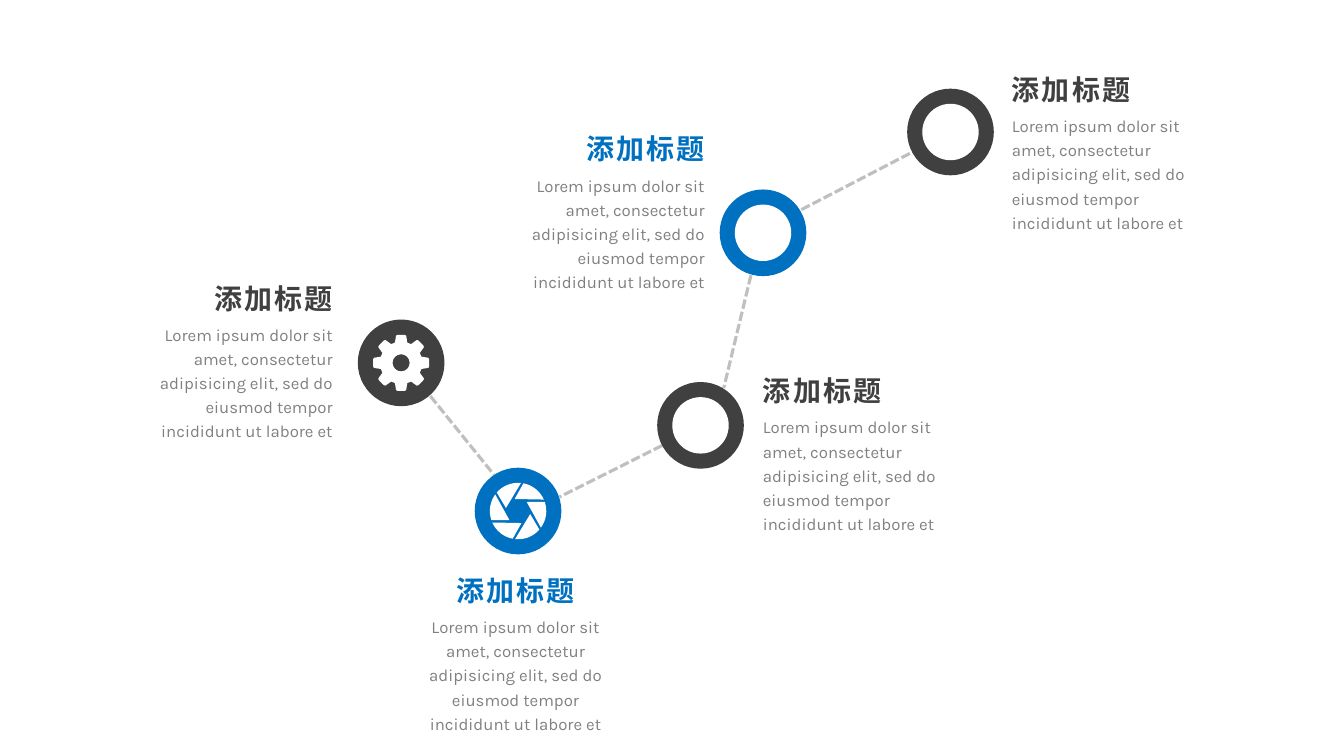
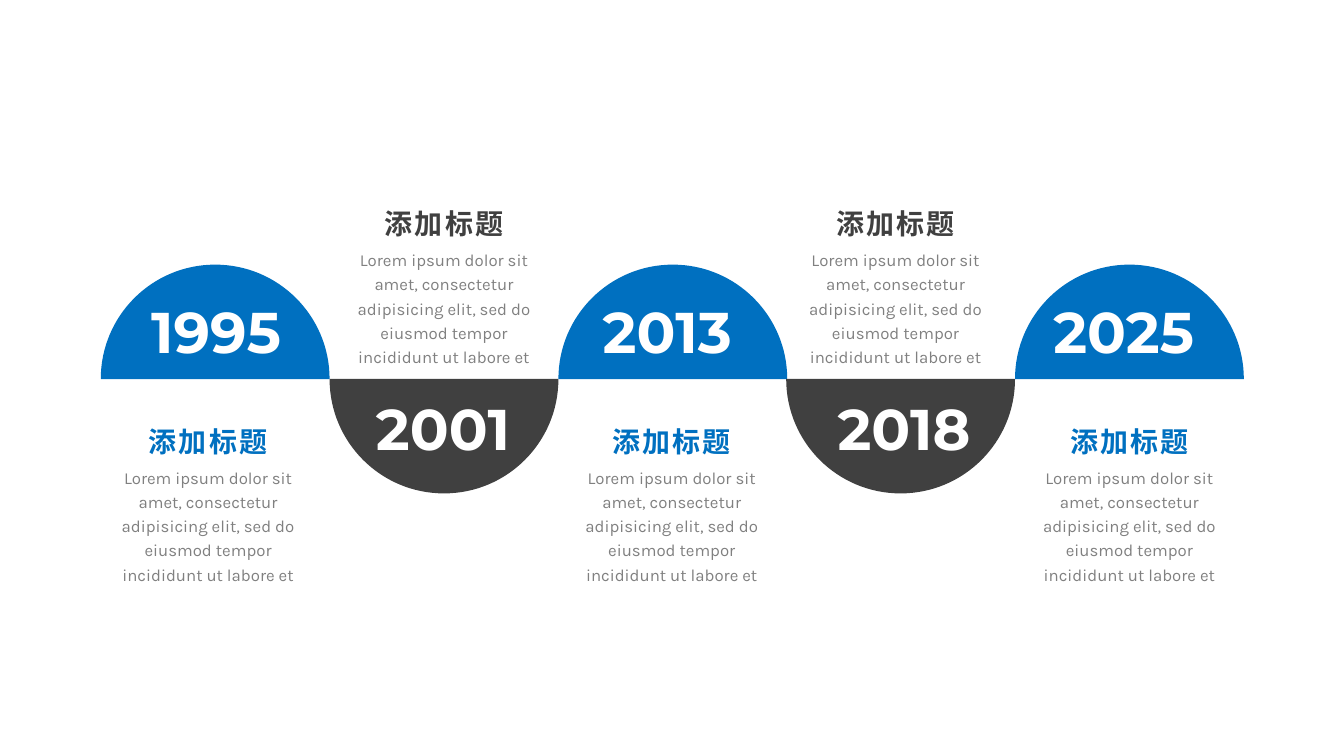
from dataclasses import dataclass, field
from math import cos, radians, sin, tan

from lxml import etree
from pptx import Presentation
from pptx.dml.color import RGBColor
from pptx.enum.dml import MSO_LINE
from pptx.enum.shapes import MSO_CONNECTOR, MSO_SHAPE
from pptx.enum.text import MSO_AUTO_SIZE, PP_ALIGN
from pptx.oxml.ns import qn
from pptx.util import Pt

PX = 9144
SLIDE_HEIGHT = 750
LEFT, CENTER, RIGHT = PP_ALIGN.LEFT, PP_ALIGN.CENTER, PP_ALIGN.RIGHT
FIT_SHAPE = MSO_AUTO_SIZE.SHAPE_TO_FIT_TEXT
ELLIPSE = MSO_SHAPE.OVAL
STRAIGHT = MSO_CONNECTOR.STRAIGHT
SHORT_DASH = MSO_LINE.SQUARE_DOT


@dataclass(frozen=True)
class Theme:
    blue: RGBColor = RGBColor(0x00, 0x70, 0xC0)
    dark: RGBColor = RGBColor(0x40, 0x40, 0x40)
    gray: RGBColor = RGBColor(0x80, 0x80, 0x80)
    rule: RGBColor = RGBColor(0xBF, 0xBF, 0xBF)
    white: RGBColor = RGBColor(0xFF, 0xFF, 0xFF)
    rule_width: int = Pt(2.25)
    heading: dict = field(default_factory=lambda: {
        "name": "Noto Sans CJK SC", "size": Pt(20), "bold": True})
    body: dict = field(default_factory=lambda: {
        "name": "Karla", "size": Pt(12)})
    year: dict = field(default_factory=lambda: {
        "name": "Montserrat", "size": Pt(41), "bold": True})


THEME = Theme()
HEADING = "添加标题"
BODY = ("Lorem ipsum dolor sit amet, consectetur adipisicing elit, "
        "sed do eiusmod tempor incididunt ut labore et")

CAPTION_WIDTH = 227
HEADING_SIZE = (141, 44)
BODY_DROP, BODY_HEIGHT = 39, 105
HEADING_SHARE = {LEFT: 0, CENTER: 0.5, RIGHT: 1}

NODE_SIZE, ICON_INSET = 86, 15
TOOTH = ((21, -17), (27.5, -10.5), (28, -7), (28, 7), (27.5, 10.5), (21, 17))


def emu(*lengths):
    return [round(length * PX) for length in lengths]


def polar(center, radius, angle):
    x, y = center
    return x + radius * cos(radians(angle)), y + radius * sin(radians(angle))


def arc(center, radius, start, end):
    reach = radius * 4 / 3 * tan(radians(end - start) / 4)
    first, last = polar(center, radius, start), polar(center, radius, end)
    return [polar(first, reach, start + 90), polar(last, -reach, end + 90), last]


def paint(shape, color):
    shape.fill.solid()
    shape.fill.fore_color.rgb = color
    shape.line.fill.background()
    shape.shadow.inherit = False


def add_disc(parent, box, color):
    paint(parent.shapes.add_shape(ELLIPSE, *emu(*box)), color)


def bend_segments(shape, segments):
    steps = iter(list(shape._element.iter(qn("a:lnTo"))))
    for segment in segments:
        lines = [next(steps) for _ in segment]
        if len(lines) == 3:
            curve = etree.Element(qn("a:cubicBezTo"))
            lines[0].addprevious(curve)
            for line in lines:
                curve.append(line[0])
                line.getparent().remove(line)


def add_outline(parent, contours, color):
    builder = None
    for start, segments in contours:
        if builder is None:
            builder = parent.shapes.build_freeform(*emu(*start), scale=1.0)
        else:
            builder.move_to(*emu(*start))
        points = [emu(*point) for segment in segments for point in segment]
        builder.add_line_segments(points, close=True)
    shape = builder.convert_to_shape()
    bend_segments(shape, [segment for _, segments in contours
                          for segment in segments])
    paint(shape, color)


def add_text(parent, box, text, style, color, align=LEFT, wrap=False,
             inset=None, line_spacing=None, tracking=None):
    frame = parent.shapes.add_textbox(*emu(*box)).text_frame
    frame.word_wrap = wrap
    frame.auto_size = FIT_SHAPE
    if inset is not None:
        for side in ("left", "top", "right", "bottom"):
            setattr(frame, f"margin_{side}", inset)
    paragraph = frame.paragraphs[0]
    paragraph.alignment = align
    paragraph.line_spacing = line_spacing
    run = paragraph.add_run()
    run.text = text
    for name, value in style.items():
        setattr(run.font, name, value)
    run.font.color.rgb = color
    properties = run.font._element
    east_asian = etree.SubElement(properties, qn("a:ea"))
    east_asian.set("typeface", style["name"])
    if tracking:
        properties.set("spc", str(tracking))


def add_caption(parent, left, top, color, align):
    width, height = HEADING_SIZE
    shift = (CAPTION_WIDTH - width) * HEADING_SHARE[align]
    add_text(parent, (left + shift, top, width, height), HEADING,
             THEME.heading, color, align, tracking=150)
    add_text(parent, (left, top + BODY_DROP, CAPTION_WIDTH, BODY_HEIGHT), BODY,
             THEME.body, THEME.gray, align, wrap=True, line_spacing=1.2)


def add_dashed_link(slide, start, end):
    connector = slide.shapes.add_connector(STRAIGHT, *emu(*start, *end))
    connector.line.color.rgb = THEME.rule
    connector.line.width = THEME.rule_width
    connector.line.dash_style = SHORT_DASH
    etree.SubElement(connector._element.spPr, qn("a:effectLst"))


def icon_center(box):
    left, top, size = box[:3]
    return left + size / 2, top + size / 2


def add_plain_icon(parent, box):
    add_disc(parent, box, THEME.white)


def add_gear_icon(parent, box):
    center = icon_center(box)
    teeth = [polar(center, radius, turn + angle)
             for turn in range(0, 360, 45) for radius, angle in TOOTH]
    hole = [arc(center, 8.5, angle, angle + 90) for angle in range(0, 360, 90)]
    add_outline(parent, [(teeth[0], [[point] for point in teeth[1:]]),
                         (polar(center, 8.5, 0), hole)], THEME.white)


def add_shutter_icon(parent, box):
    center = icon_center(box)
    blades = [(polar(center, 28, turn - 84),
               [arc(center, 28, turn - 84, turn - 139),
                [polar(center, 12.4, turn - 166)]])
              for turn in range(0, 360, 60)]
    add_outline(parent, blades, THEME.white)


def add_node(slide, left, top, color, add_icon):
    group = slide.shapes.add_group_shape()
    add_disc(group, (left, top, NODE_SIZE, NODE_SIZE), color)
    icon_size = NODE_SIZE - 2 * ICON_INSET
    add_icon(group, (left + ICON_INSET, top + ICON_INSET, icon_size, icon_size))


def build_path_slide(slide):
    links = [
        ((427, 393), (490, 471)),
        ((657, 442), (555, 493)),
        ((745, 273), (718, 385)),
        ((795, 208), (905, 151)),
    ]
    stops = [
        ((355, 317), THEME.dark, add_gear_icon, (113, 274), RIGHT),
        ((471, 464), THEME.blue, add_shutter_icon, (398, 564), CENTER),
        ((652, 379), THEME.dark, add_plain_icon, (747, 366), LEFT),
        ((714, 188), THEME.blue, add_plain_icon, (482, 126), RIGHT),
        ((900, 88), THEME.dark, add_plain_icon, (994, 67), LEFT),
    ]
    for start, end in links:
        add_dashed_link(slide, start, end)
    for node, color, add_icon, _, _ in stops:
        add_node(slide, *node, color, add_icon)
    for _, color, _, caption, align in stops:
        add_caption(slide, *caption, color, align)


def add_half_disc(slide, left, axis, width, color, rises):
    center, radius = (left + width / 2, axis), width / 2
    turn = 90 if rises else -90
    quarters = [arc(center, radius, 180, 180 + turn),
                arc(center, radius, 180 + turn, 180 + 2 * turn)]
    add_outline(slide, [((left, axis), quarters)], color)


def build_wave_slide(slide):
    left, axis, span = 100, 376, 1134
    periods = [
        ("1995", 50, 162, -7),
        ("2001", 46, 169, 0),
        ("2013", 44, 164, -1),
        ("2018", 51, 167, -5),
        ("2025", 38, 176, 0),
    ]
    columns = []
    for index, period in enumerate(periods):
        rises = index % 2 == 0
        color = THEME.blue if rises else THEME.dark
        start = left + round(index * span / len(periods))
        columns.append((start, rises, color, period))
    for start, rises, color, _ in columns:
        add_half_disc(slide, start, axis, round(span / len(periods)), color, rises)
    for start, rises, _, (year, shift, width, _) in columns:
        top = axis - 82 if rises else axis + 14
        add_text(slide, (start + shift, top, width, 84), year,
                 THEME.year, THEME.white, inset=0)
    for start, rises, color, (_, _, _, shift) in columns:
        top = axis + 40 if rises else axis - 176
        add_caption(slide.shapes.add_group_shape(), start + shift, top,
                    color, CENTER)


def main():
    presentation = Presentation()
    presentation.slide_width, presentation.slide_height = emu(
        SLIDE_HEIGHT * 16 / 9, SLIDE_HEIGHT)
    blank = presentation.slide_layouts[6]
    for build in (build_path_slide, build_wave_slide):
        build(presentation.slides.add_slide(blank))
    presentation.save("out.pptx")


if __name__ == "__main__":
    main()
